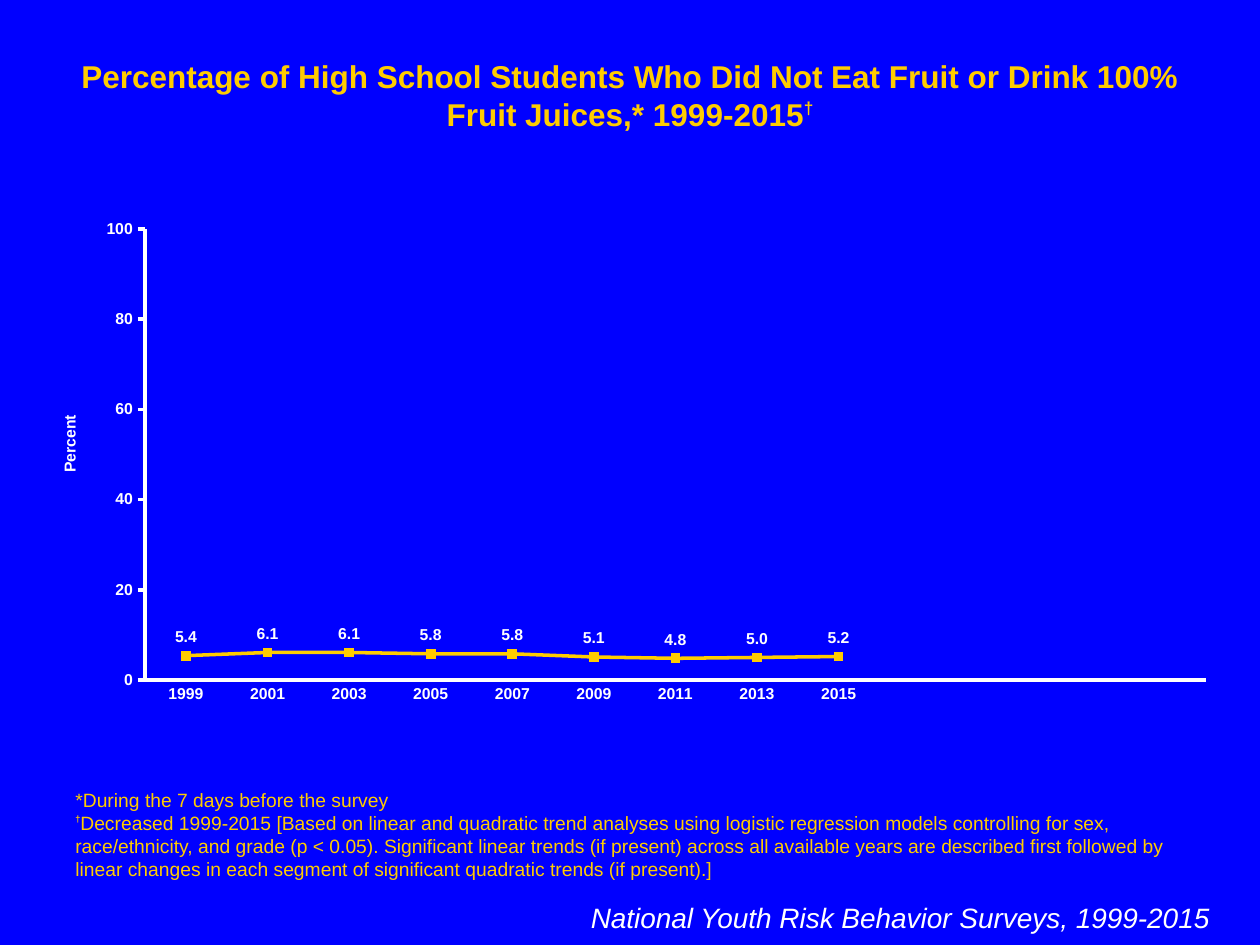
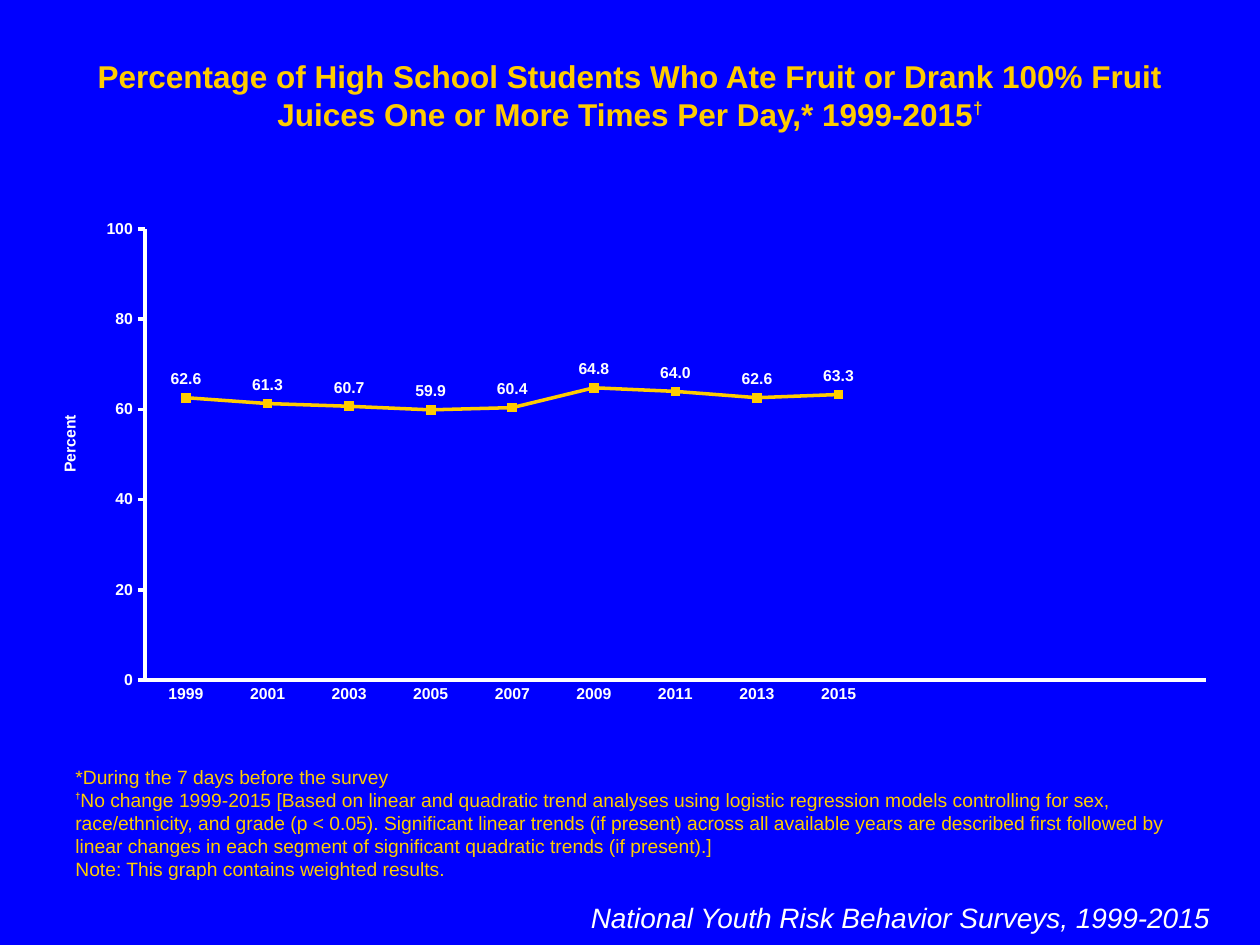
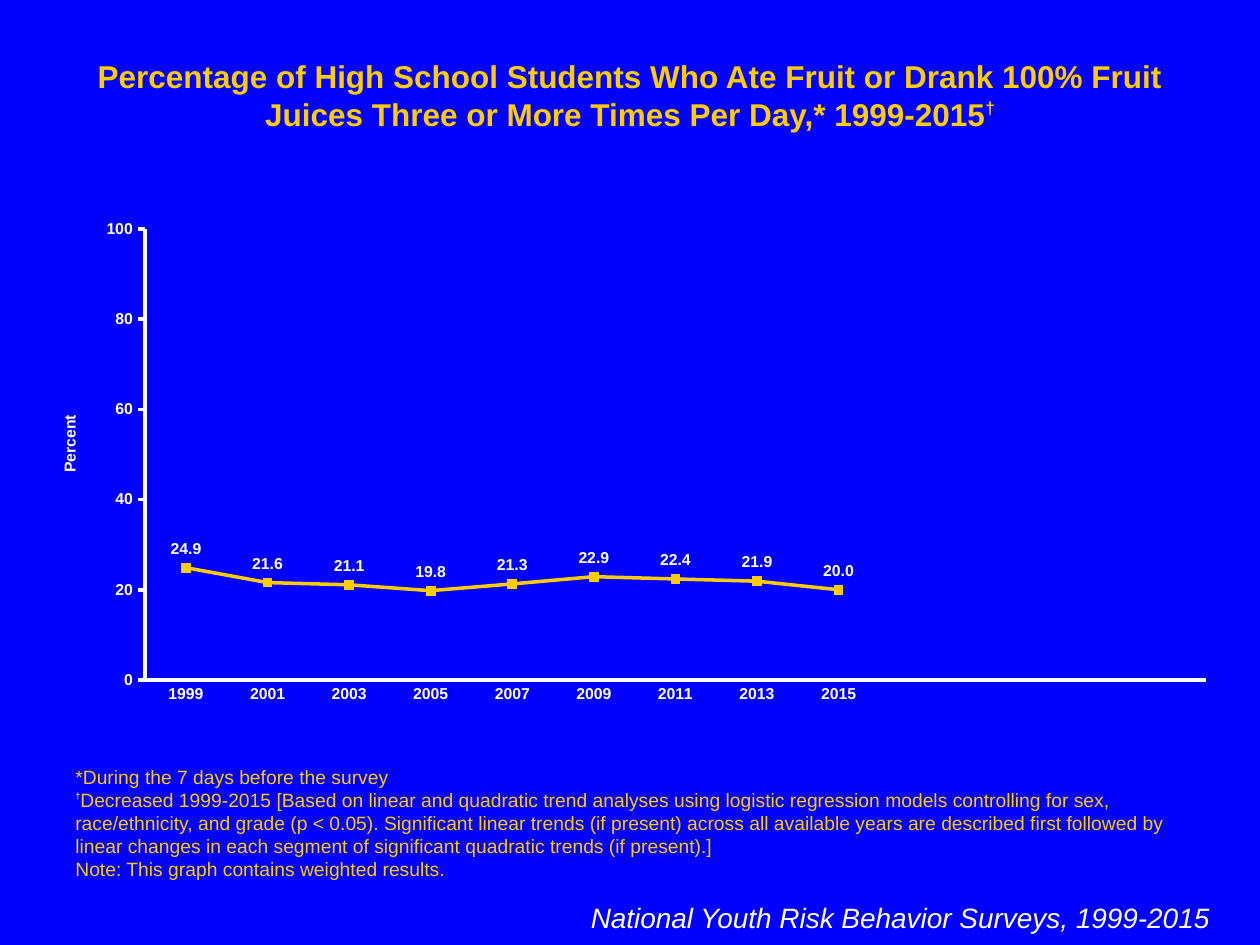
"""Builds three trend slides on fruit and juice consumption among students."""
from lxml.etree import SubElement
from pptx import Presentation
from pptx.chart.data import CategoryChartData
from pptx.dml.color import RGBColor
from pptx.enum.chart import XL_CHART_TYPE, XL_LABEL_POSITION, XL_MARKER_STYLE, XL_TICK_MARK
from pptx.enum.text import MSO_ANCHOR, MSO_AUTO_SIZE, PP_ALIGN
from pptx.oxml.ns import qn
from pptx.util import Inches, Pt

BLUE, GOLD, WHITE = "0000FF", "FFCC00", "FFFFFF"
FONT = "Arial"
DAGGER = "†"
SURVEY = "National Youth Risk Behavior Surveys, 1999-2015"
PERIOD = "*During the 7 days before the survey"
METHOD = (
    " 1999-2015 [Based on linear and quadratic trend analyses using logistic regression "
    "models controlling for sex, race/ethnicity, and grade (p < 0.05). Significant linear "
    "trends (if present) across all available years are described first followed by linear "
    "changes in each segment of significant quadratic trends (if present).]"
)
WEIGHTED = "Note: This graph contains weighted results."
YEARS = [str(year) for year in range(1999, 2016, 2)]
EMPTY_YEARS = 4
SUBJECT = "Percentage of High School Students Who "
TRENDS = [
    ("Did Not Eat Fruit or Drink 100% Fruit Juices", "Decreased", [],
     [5.4, 6.1, 6.1, 5.8, 5.8, 5.1, 4.8, 5.0, 5.2]),
    ("Ate Fruit or Drank 100% Fruit Juices One or More Times Per Day", "No change", [WEIGHTED],
     [62.6, 61.3, 60.7, 59.9, 60.4, 64.8, 64.0, 62.6, 63.3]),
    ("Ate Fruit or Drank 100% Fruit Juices Three or More Times Per Day", "Decreased", [WEIGHTED],
     [24.9, 21.6, 21.1, 19.8, 21.3, 22.9, 22.4, 21.9, 20.0]),
]


def rgb(color):
    """Return the colour for a hex string."""
    return RGBColor.from_string(color)


def style_font(font, size, color=WHITE, bold=False, italic=False):
    """Set the deck's typeface with the given size, colour and weight."""
    font.name, font.size = FONT, Pt(size)
    font.bold, font.italic = bold, italic
    font.color.rgb = rgb(color)


def write(paragraph, text, raised=0, **style):
    """Add one formatted run, raised by a percentage if asked."""
    run = paragraph.add_run()
    run.text = text
    style_font(run.font, **style)
    if raised:
        run.font._element.set("baseline", str(raised * 1000))


def place(element, **fractions):
    """Give a chart element a manual layout in fractions of the chart."""
    layout = element.find(qn("c:layout"))
    if layout is None:
        layout = SubElement(element, qn("c:layout"))
        element.insert(0, layout)
    manual = SubElement(layout, qn("c:manualLayout"))
    if "w" in fractions:
        SubElement(manual, qn("c:layoutTarget")).set("val", "inner")
    for side in ("x", "y"):
        SubElement(manual, qn(f"c:{side}Mode")).set("val", "edge")
    for side, fraction in fractions.items():
        SubElement(manual, qn(f"c:{side}")).set("val", str(fraction))


class TrendDeck:
    """Holds the presentation style and the current slide."""

    def __init__(self):
        """Set the page size and the shared background."""
        self.deck = Presentation()
        self.deck.slide_width, self.deck.slide_height = Inches(10), Inches(7.5)
        background = self.deck.slide_master.background.fill
        background.solid()
        background.fore_color.rgb = rgb(BLUE)
        self.slide = None

    def new_slide(self):
        """Start a title-only slide."""
        self.slide = self.deck.slides.add_slide(self.deck.slide_layouts[5])

    def frame(self, shape, anchor=MSO_ANCHOR.TOP):
        """Return the wrapped text frame of a shape."""
        frame = shape.text_frame
        frame.word_wrap, frame.auto_size = True, MSO_AUTO_SIZE.NONE
        frame.vertical_anchor = anchor
        return frame

    def title(self, text):
        """Fill the title placeholder and mark it with a dagger."""
        heading = self.slide.shapes.title
        heading.left, heading.top = Inches(0.5), Inches(0.4)
        heading.width, heading.height = Inches(9), Inches(0.7)
        line = self.frame(heading).paragraphs[0]
        line.alignment = PP_ALIGN.CENTER
        write(line, text, size=18, color=GOLD, bold=True)
        write(line, DAGGER, raised=40, size=17, color=GOLD, bold=True)

    def footnotes(self, finding, remarks):
        """Stack the footnotes upwards from their common bottom edge."""
        box = self.slide.shapes.add_textbox(Inches(0.5), Inches(5.94), Inches(9), Inches(1.1))
        frame = self.frame(box, MSO_ANCHOR.BOTTOM)
        write(frame.paragraphs[0], PERIOD, size=11, color=GOLD)
        trend = frame.add_paragraph()
        write(trend, DAGGER, raised=50, size=9, color=GOLD, bold=True)
        write(trend, finding + METHOD, size=11, color=GOLD)
        for remark in remarks:
            write(frame.add_paragraph(), remark, size=11, color=GOLD)

    def survey_name(self):
        """Put the survey name at the lower right."""
        box = self.slide.shapes.add_textbox(Inches(4.53), Inches(7.1), Inches(5.17), Inches(0.37))
        line = self.frame(box).paragraphs[0]
        line.alignment = PP_ALIGN.RIGHT
        write(line, SURVEY, size=16, italic=True)

    def trend_chart(self, percentages):
        """Draw the yearly percentages, leaving room for later years."""
        data = CategoryChartData(number_format="#,##0.0")
        data.categories = YEARS + [""] * EMPTY_YEARS
        data.add_series("Series 1", percentages + [None] * EMPTY_YEARS)
        chart = self.slide.shapes.add_chart(
            XL_CHART_TYPE.LINE_MARKERS, Inches(0.25), Inches(1.67), Inches(9.5), Inches(4), data
        ).chart
        chart.has_title = chart.has_legend = False
        style_font(chart.font, 18)
        place(chart.element.find(".//" + qn("c:plotArea")), x=0.095, y=0.037, w=0.886, h=0.895)
        self.axes(chart)
        self.trend_line(chart.plots[0])

    def axes(self, chart):
        """Format both axes and name the percent axis."""
        years, percent = chart.category_axis, chart.value_axis
        for axis, tick in ((years, XL_TICK_MARK.NONE), (percent, XL_TICK_MARK.OUTSIDE)):
            axis.has_major_gridlines = False
            axis.major_tick_mark, axis.minor_tick_mark = tick, XL_TICK_MARK.NONE
            axis.format.line.color.rgb = rgb(WHITE)
            axis.format.line.width = Pt(2)
            style_font(axis.tick_labels.font, 9, bold=True)
        percent.minimum_scale, percent.maximum_scale, percent.major_unit = 0, 100, 20
        percent.tick_labels.number_format = "#,##0"
        percent.tick_labels.number_format_is_linked = False
        name = percent.axis_title
        write(name.text_frame.paragraphs[0], "Percent", size=9, bold=True)
        name.element.find(".//" + qn("a:bodyPr")).set("rot", "-5400000")
        place(name.element, x=0.021, y=0.4)

    def trend_line(self, plot):
        """Format the line, its markers and its value labels."""
        plot.vary_by_categories = False
        trend = plot.series[0]
        trend.smooth = False
        trend.format.line.color.rgb = rgb(GOLD)
        trend.format.line.width = Pt(2)
        marker = trend.marker
        marker.style, marker.size = XL_MARKER_STYLE.SQUARE, 5
        marker.format.fill.solid()
        marker.format.fill.fore_color.rgb = rgb(GOLD)
        marker.format.line.color.rgb = rgb(GOLD)
        labels = trend.data_labels
        labels.show_value, labels.position = True, XL_LABEL_POSITION.ABOVE
        labels.number_format, labels.number_format_is_linked = "#,##0.0", False
        style_font(labels.font, 9, bold=True)


def main():
    """Build every trend slide and save the deck."""
    builder = TrendDeck()
    for behavior, finding, remarks, percentages in TRENDS:
        builder.new_slide()
        builder.title(f"{SUBJECT}{behavior},* 1999-2015")
        builder.footnotes(finding, remarks)
        builder.survey_name()
        builder.trend_chart(percentages)
    builder.deck.save("out.pptx")


if __name__ == "__main__":
    main()
